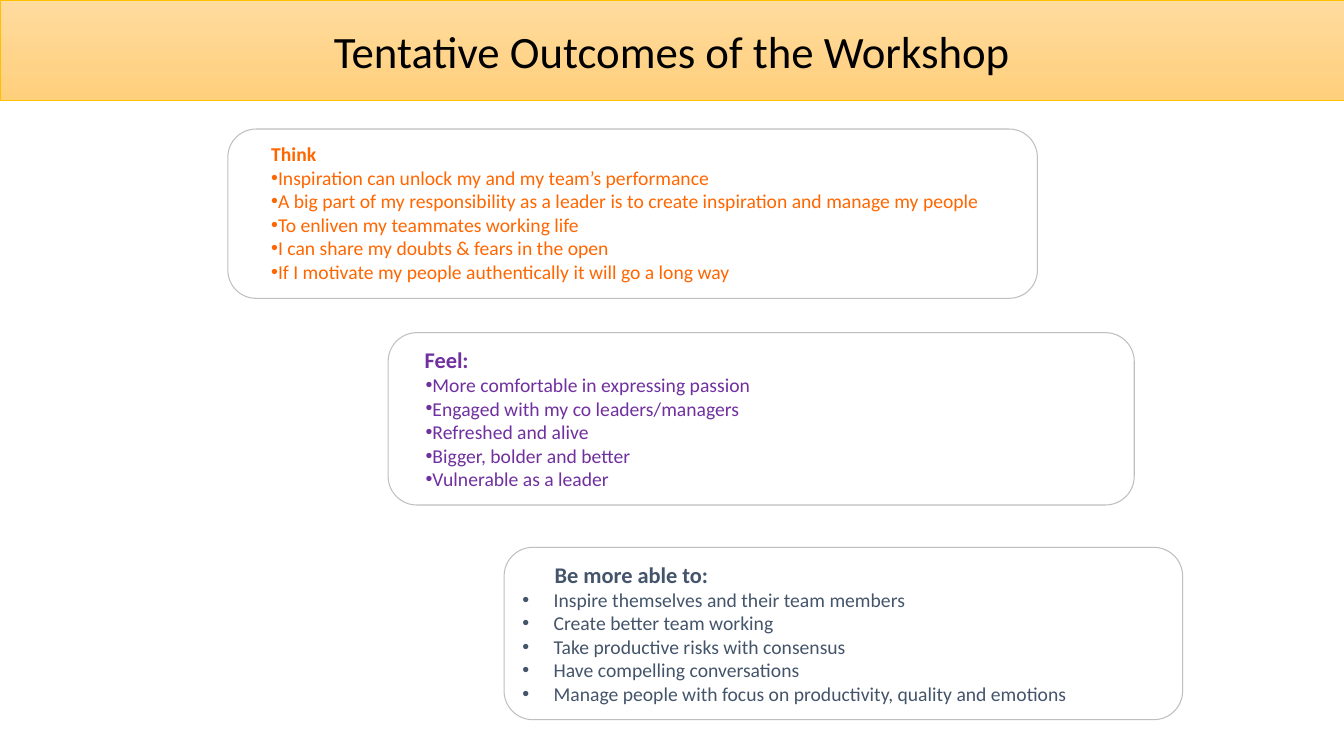
from lxml import etree
from pptx import Presentation
from pptx.dml.color import RGBColor
from pptx.enum.shapes import MSO_SHAPE as SHAPE
from pptx.enum.text import MSO_ANCHOR as ANCHOR, MSO_AUTO_SIZE as AUTO, PP_ALIGN as ALIGN
from pptx.oxml.ns import qn
from pptx.util import Pt

PX = 9144  # 100 px to the inch


def color(value):
    return RGBColor.from_string(value)


def style(p, size, hue, bold=False):
    for r in p.runs:
        r.font.name = "Calibri"
        r.font.size = Pt(size)
        r.font.bold = bold
        r.font.color.rgb = color(hue)


prs = Presentation()
prs.slide_width, prs.slide_height = 1333 * PX, 750 * PX
s = prs.slides.add_slide(prs.slide_layouts[5])

# Title band
title = s.shapes.title
title.left, title.top, title.width, title.height = 0, 0, 1333 * PX, 100 * PX
title.fill.gradient()
title.fill.gradient_angle = 270
for stop, hue in zip(title.fill.gradient_stops, ("FFDB9E", "FFD07C")):
    stop.color.rgb = color(hue)
title.line.color.rgb = color("FFC000")
title.line.width = Pt(0.5)
tf = title.text_frame
tf.text = "Tentative Outcomes of the Workshop"
tf.auto_size = AUTO.NONE
tf.vertical_anchor = ANCHOR.MIDDLE
tf.paragraphs[0].alignment = ALIGN.CENTER
style(tf.paragraphs[0], 32, "000000")

# Outcomes: box, colour, heading, heading size and indent, bullet margin and indent, bullets
outcomes = [
    ((226, 128, 803, 168), "FF6600", "Think", 14, 25, 0, 25, [
        "Inspiration can unlock my and my team’s performance",
        "A big part of my responsibility as a leader is to create inspiration and manage my people",
        "To enliven my teammates working life",
        "I can share my doubts & fears in the open",
        "If I motivate my people authentically it will go a long way",
    ]),
    ((385, 330, 740, 171), "7030A0", "Feel:", 16, 18, 0, 19, [
        "More comfortable in expressing passion",
        "Engaged with my co leaders/managers",
        "Refreshed and alive",
        "Bigger, bolder and better",
        "Vulnerable as a leader",
    ]),
    ((500, 543, 673, 171), "44546A", "Be more able to:", 16, 32, 31, -31, [
        "Inspire themselves and their team members",
        "Create better team working",
        "Take productive risks with consensus",
        "Have compelling conversations",
        "Manage people with focus on productivity, quality and emotions",
    ]),
]

for box, hue, heading, size, head_indent, margin, indent, bullets in outcomes:
    # Rounded frame
    sp = s.shapes.add_shape(SHAPE.ROUNDED_RECTANGLE, *(n * PX for n in box))
    sp.shadow.inherit = False
    sp.fill.background()
    sp.line.color.rgb = color("BFBFBF")
    sp.line.width = Pt(0.75)

    # Heading and bullets
    tf = sp.text_frame
    tf.word_wrap = True
    tf.auto_size = AUTO.SHAPE_TO_FIT_TEXT
    tf.vertical_anchor = ANCHOR.TOP
    tf.text = "\n".join([heading, *bullets])
    for i, p in enumerate(tf.paragraphs):
        p.alignment = ALIGN.LEFT
        pPr = p._p.get_or_add_pPr()
        pPr.set("marL", str(margin * PX if i else 0))
        pPr.set("indent", str((indent if i else head_indent) * PX))
        if i:
            etree.SubElement(pPr, qn("a:buFont"), typeface="Arial")
            etree.SubElement(pPr, qn("a:buChar"), char="•")
        style(p, 14 if i else size, hue, bold=not i)

prs.save("out.pptx")
